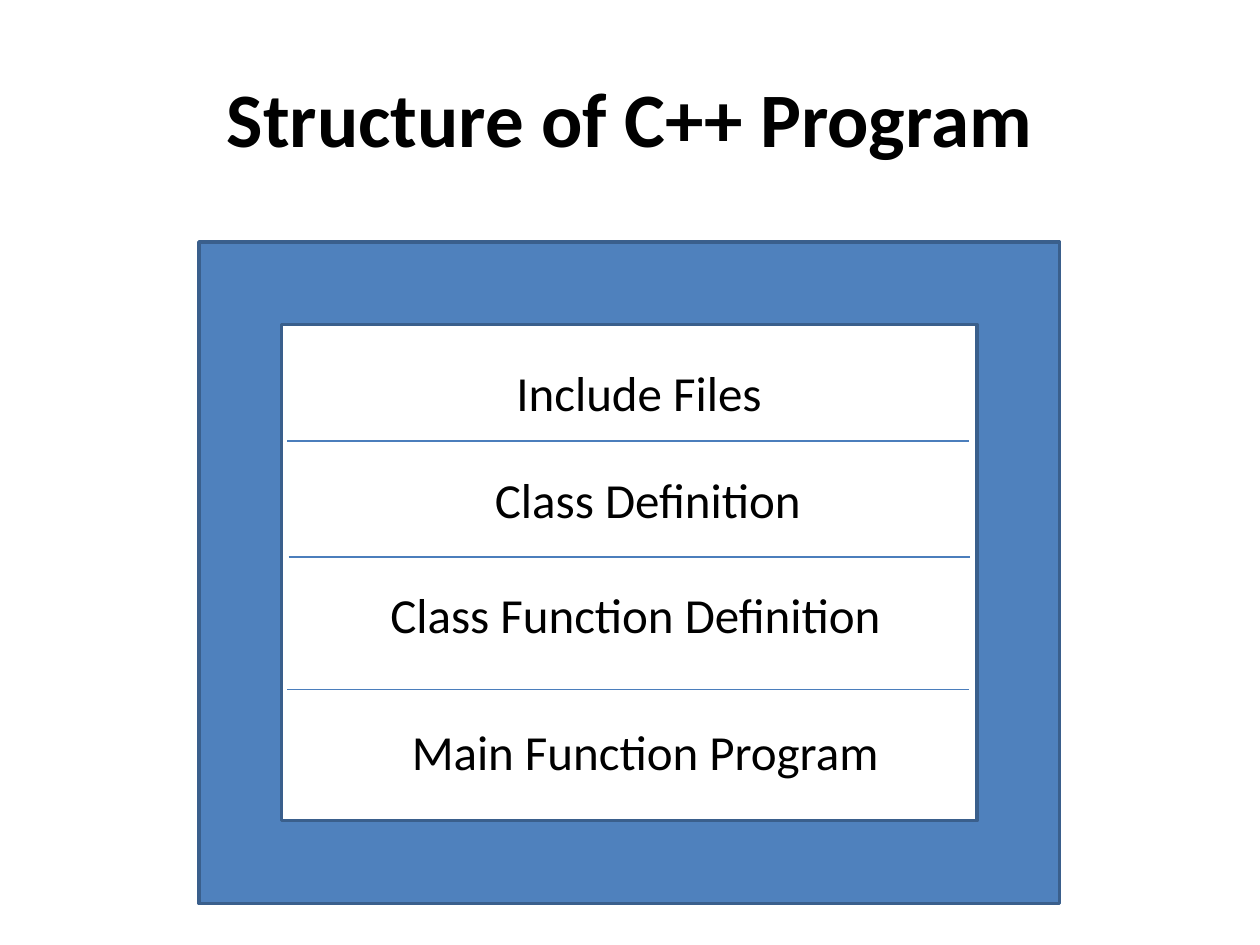
"""Build a slide that shows the sections of a C++ program inside a frame."""
from dataclasses import dataclass

from lxml import etree
from pptx import Presentation
from pptx.dml.color import RGBColor
from pptx.enum.shapes import MSO_CONNECTOR, MSO_SHAPE
from pptx.enum.text import MSO_ANCHOR, MSO_AUTO_SIZE, PP_ALIGN
from pptx.oxml.ns import qn
from pptx.shapes.shapetree import GroupShapes
from pptx.text.text import TextFrame
from pptx.util import Inches, Pt

STRAIGHT = MSO_CONNECTOR.STRAIGHT
FRAME = MSO_SHAPE.FRAME
MIDDLE = MSO_ANCHOR.MIDDLE
GROW = MSO_AUTO_SIZE.SHAPE_TO_FIT_TEXT
LEFT, CENTER = PP_ALIGN.LEFT, PP_ALIGN.CENTER
TITLE_ONLY = 5


@dataclass(frozen=True)
class Theme:
    """Colours, font and sizes of the slide."""

    font: str = "Calibri"
    text: RGBColor = RGBColor(0x00, 0x00, 0x00)
    frame_fill: RGBColor = RGBColor(0x4F, 0x81, 0xBD)
    frame_line: RGBColor = RGBColor(0x3A, 0x5F, 0x8C)
    divider: RGBColor = RGBColor(0x4B, 0x7E, 0xBC)
    title_size: float = 44
    label_size: float = 28
    frame_width: float = 2
    divider_width: float = 0.75


@dataclass(frozen=True)
class Section:
    """A labelled section of the program."""

    label: str
    left: float
    top: float
    width: float


@dataclass(frozen=True)
class Divider:
    """A horizontal line between two sections."""

    left: float
    top: float


THEME = Theme()
LABEL_HEIGHT = 0.57
DIVIDER_LENGTH = 5.41
SECTIONS = (
    Section("Include Files", 4, 2.83, 2.25),
    Section("Class Definition", 3.83, 3.68, 2.92),
    Section("Class Function Definition", 3, 4.59, 4.33),
    Section("Main Function Program", 3.17, 5.68, 4.33),
)
DIVIDERS = (Divider(2.28, 3.5), Divider(2.29, 4.42), Divider(2.28, 5.47))


def write_text(frame: TextFrame, text: str, *, size: float,
               bold: bool = False, align: PP_ALIGN = LEFT) -> None:
    """Write one formatted paragraph into a text frame."""
    para = frame.paragraphs[0]
    para.alignment = align
    span = para.add_run()
    span.text = text
    span.font.name = THEME.font
    span.font.size = Pt(size)
    span.font.bold = bold
    span.font.color.rgb = THEME.text


def draw_frame(shapes: GroupShapes) -> None:
    """Draw the thick frame around the sections."""
    frame = shapes.add_shape(FRAME, Inches(1.58), Inches(1.92), Inches(6.83), Inches(5.25))
    frame.shadow.inherit = False
    frame.fill.solid()
    frame.fill.fore_color.rgb = THEME.frame_fill
    frame.line.color.rgb = THEME.frame_line
    frame.line.width = Pt(THEME.frame_width)


def draw_divider(shapes: GroupShapes, divider: Divider) -> None:
    """Draw a thin line without a shadow."""
    top = Inches(divider.top)
    line = shapes.add_connector(
        STRAIGHT, Inches(divider.left), top, Inches(divider.left + DIVIDER_LENGTH), top)
    line.line.color.rgb = THEME.divider
    line.line.width = Pt(THEME.divider_width)
    etree.SubElement(line._element.spPr, qn("a:effectLst"))


def draw_section(shapes: GroupShapes, section: Section) -> None:
    """Draw the label of a section."""
    box = shapes.add_textbox(Inches(section.left), Inches(section.top),
                             Inches(section.width), Inches(LABEL_HEIGHT))
    box.text_frame.word_wrap = True
    box.text_frame.auto_size = GROW
    write_text(box.text_frame, section.label, size=THEME.label_size)


def main() -> None:
    """Build and save the deck."""
    deck = Presentation()
    deck.slide_width, deck.slide_height = Inches(10), Inches(7.5)
    page = deck.slides.add_slide(deck.slide_layouts[TITLE_ONLY])

    title = page.shapes.title
    title.left, title.top = Inches(0.5), Inches(0.3)
    title.width, title.height = Inches(9), Inches(1.25)
    title.text_frame.vertical_anchor = MIDDLE
    write_text(title.text_frame, "Structure of C++ Program",
               size=THEME.title_size, bold=True, align=CENTER)

    diagram = page.shapes.add_group_shape().shapes
    draw_frame(diagram)
    for divider in DIVIDERS:
        draw_divider(diagram, divider)
    for section in SECTIONS:
        draw_section(diagram, section)

    deck.save("out.pptx")


if __name__ == "__main__":
    main()
